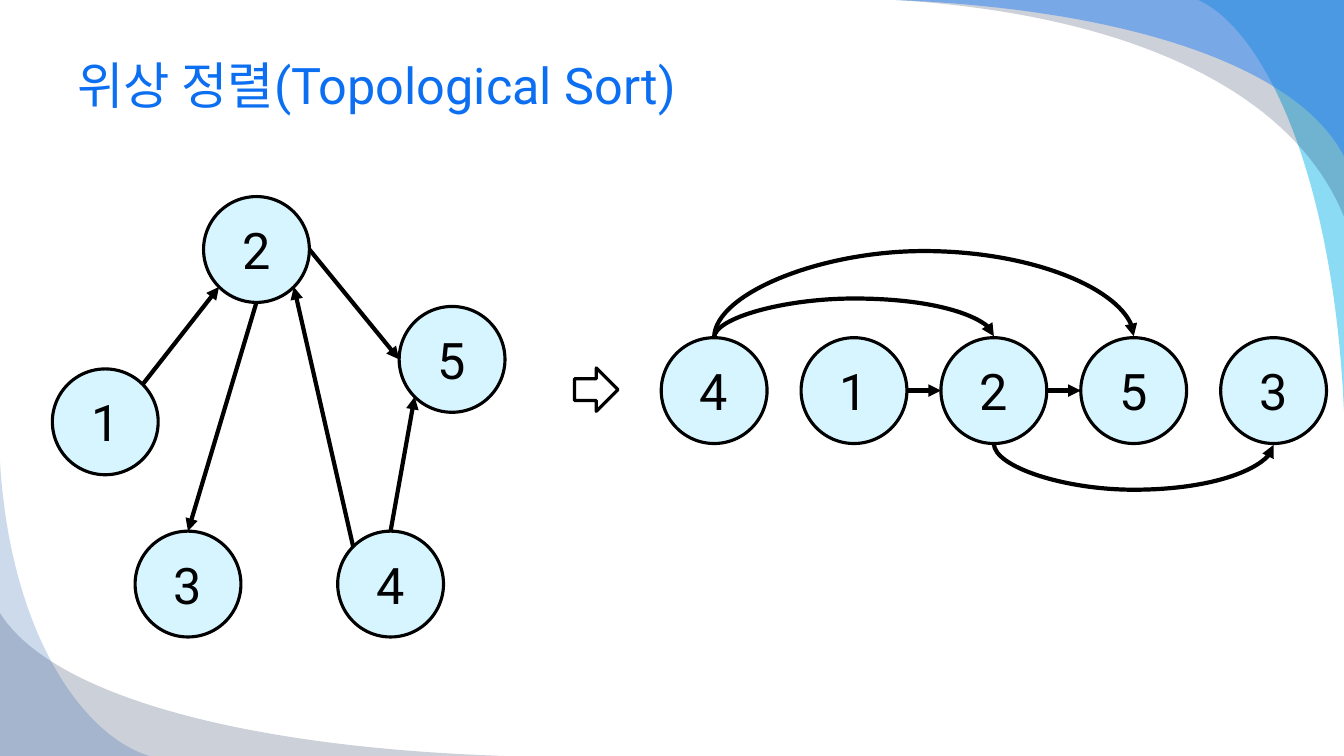
from dataclasses import dataclass
from math import cos, pi, sin

from lxml.etree import SubElement
from pptx import Presentation
from pptx.dml.color import RGBColor
from pptx.enum.shapes import MSO_CONNECTOR as Link, MSO_SHAPE as Kind
from pptx.enum.text import MSO_ANCHOR as Anchor, MSO_AUTO_SIZE as AutoSize, PP_ALIGN as Align
from pptx.oxml.ns import qn
from pptx.shapes.autoshape import Shape
from pptx.shapes.connector import Connector
from pptx.slide import Slide
from pptx.text.text import TextFrame
from pptx.util import Pt

COLORS = {"title": "0C6FF2", "node": "D7F5FF", "ink": "000000", "paper": "FFFFFF",
          "cyan": "00B1E9", "navy": "021741", "blue": "247FF4", "deep": "084AA1"}
FONT = "Roboto"
DIAMETER = 75.6
CHAIN_LEFT, CHAIN_TOP, CHAIN_PITCH = 472.3, 241.2, 99.9
Point = tuple[float, float]


@dataclass(frozen=True)
class Swoosh:
    """A corner area bounded by one cubic curve."""
    corner: Point
    curve: tuple[Point, Point, Point, Point]
    color: str
    opacity: int


@dataclass(frozen=True)
class Node:
    """A numbered circle, with eight sites counted anticlockwise from the top."""
    label: str
    left: float
    top: float

    def site(self, i: int) -> Point:
        """Return the point of site i on the rim."""
        r, angle = DIAMETER / 2, i * pi / 4
        return self.left + r - r * sin(angle), self.top + r - r * cos(angle)


@dataclass(frozen=True)
class Edge:
    """A straight arrow between sites of two nodes."""
    start: str
    start_site: int
    end: str
    end_site: int


@dataclass(frozen=True)
class Arc:
    """A curved arrow over or under the sorted chain."""
    start: str
    end: str
    bulge: float
    above: bool


SWOOSHES = [
    Swoosh((960, 0), ((856, 0), (903.6, 21.6), (952.6, 126), (960, 293.8)), "cyan", 45),
    Swoosh((960, 0), ((640, 0), (813.6, 10.8), (925.2, 68.4), (960, 154.8)), "navy", 20),
    Swoosh((960, 0), ((640, 0), (813.6, 7.2), (928.8, 50.4), (960, 111.6)), "blue", 49),
    Swoosh((0, 540), ((360, 540), (164.9, 533.5), (34.6, 493.9), (0, 437.8)), "navy", 20),
    Swoosh((0, 540), ((106.6, 540), (57.6, 524.9), (7.2, 450), (0, 329.8)), "deep", 20),
]
GRAPH = [Node("1", 37.4, 263.5), Node("2", 145.4, 140.4), Node("3", 96.5, 379.4),
         Node("4", 241.2, 379.4), Node("5", 285.1, 218.9)]
GRAPH_EDGES = [Edge("1", 7, "2", 3), Edge("4", 1, "2", 5), Edge("2", 6, "5", 2),
               Edge("2", 4, "3", 0), Edge("4", 0, "5", 3)]
CHAIN = [Node(label, CHAIN_LEFT + i * CHAIN_PITCH, CHAIN_TOP) for i, label in enumerate("41253")]
CHAIN_EDGES = [Edge("1", 6, "2", 2), Edge("2", 6, "5", 2)]
ARCS = [Arc("4", "2", 28.18, True), Arc("2", "3", 33.27, False), Arc("4", "5", 62.36, True)]


def rgb(name: str) -> RGBColor:
    """Return a named colour."""
    return RGBColor.from_string(COLORS[name])


def write(tf: TextFrame, text: str, color: str, align: Align) -> None:
    """Fill a text frame with one 36-point line."""
    tf.text = text
    tf.vertical_anchor = Anchor.MIDDLE
    p = tf.paragraphs[0]
    p.alignment = align
    font = p.runs[0].font
    font.name, font.size = FONT, Pt(36)
    font.color.rgb = rgb(color)


def paint(sp: Shape, fill: str) -> None:
    """Give a shape a flat fill and a black outline."""
    sp.shadow.inherit = False
    sp.fill.solid()
    sp.fill.fore_color.rgb = rgb(fill)
    sp.line.color.rgb = rgb("ink")
    sp.line.width = Pt(2.25)


def draw_swoosh(s: Slide, swoosh: Swoosh) -> None:
    """Draw a translucent corner area."""
    points = []
    for step in range(41):
        t = step / 40
        weights = ((1 - t) ** 3, 3 * t * (1 - t) ** 2, 3 * t * t * (1 - t), t ** 3)
        points.append(tuple(Pt(sum(w * p[axis] for w, p in zip(weights, swoosh.curve)))
                            for axis in (0, 1)))
    builder = s.shapes.build_freeform(*(Pt(v) for v in swoosh.corner))
    builder.add_line_segments(points, close=True)
    sp = builder.convert_to_shape()
    sp.shadow.inherit = False
    sp.fill.solid()
    sp.fill.fore_color.rgb = rgb(swoosh.color)
    sp.line.fill.background()
    color = sp.element.spPr.find(qn("a:solidFill"))[0]
    SubElement(color, qn("a:alpha"), val=str(swoosh.opacity * 1000))


def draw_node(s: Slide, node: Node) -> Shape:
    """Draw a numbered circle."""
    sp = s.shapes.add_shape(Kind.OVAL, Pt(node.left), Pt(node.top), Pt(DIAMETER), Pt(DIAMETER))
    paint(sp, "node")
    write(sp.text_frame, node.label, "ink", Align.CENTER)
    return sp


def add_arrow(s: Slide, kind: Link, start: Point, end: Point) -> Connector:
    """Add a black connector with an arrowhead."""
    c = s.shapes.add_connector(kind, *(Pt(v) for v in start + end))
    c.line.color.rgb = rgb("ink")
    c.line.width = Pt(3)
    SubElement(c.line._get_or_add_ln(), qn("a:tailEnd"), type="triangle")
    SubElement(c._element.spPr, qn("a:effectLst"))
    return c


def draw_graph(s: Slide, nodes: list[Node], edges: list[Edge]) -> None:
    """Draw nodes and the straight arrows glued to their sites."""
    by_label = {node.label: node for node in nodes}
    shapes = {node.label: draw_node(s, node) for node in nodes}
    for e in edges:
        c = add_arrow(s, Link.STRAIGHT, by_label[e.start].site(e.start_site),
                      by_label[e.end].site(e.end_site))
        glue = c._element.nvCxnSpPr.cNvCxnSpPr
        for tag, label, site in (("a:stCxn", e.start, e.start_site), ("a:endCxn", e.end, e.end_site)):
            SubElement(glue, qn(tag), id=str(shapes[label].shape_id), idx=str(site))


def draw_arc(s: Slide, nodes: list[Node], arc: Arc) -> None:
    """Draw a curved arrow as a turned connector one point wide."""
    by_label = {node.label: node for node in nodes}
    site, sign, turn = (0, 1, 90) if arc.above else (4, -1, 270)
    x1, y = by_label[arc.start].site(site)
    x2, _ = by_label[arc.end].site(site)
    cx, cy, reach = (x1 + x2) / 2, y - sign / 2, sign * (x2 - x1) / 2
    c = add_arrow(s, Link.CURVE, (cx + 0.5, cy + reach), (cx - 0.5, cy - reach))
    spPr = c._element.spPr
    spPr.find(qn("a:xfrm")).set("rot", str(turn * 60000))
    guides = spPr.find(qn("a:prstGeom")).find(qn("a:avLst"))
    SubElement(guides, qn("a:gd"), name="adj1", fmla=f"val {round(arc.bulge * 100000)}")


def main() -> None:
    """Build the topological sort slide."""
    prs = Presentation()
    prs.slide_width, prs.slide_height = Pt(960), Pt(540)
    s = prs.slides.add_slide(prs.slide_layouts[5])
    for swoosh in SWOOSHES:
        draw_swoosh(s, swoosh)

    title = s.shapes.title
    title.left, title.top, title.width, title.height = Pt(48), Pt(24), Pt(864), Pt(72.5)
    title.text_frame.auto_size = AutoSize.NONE
    write(title.text_frame, "위상 정렬(Topological Sort)", "title", Align.LEFT)
    title.element.getparent().append(title.element)

    draw_graph(s, GRAPH, GRAPH_EDGES)
    becomes = s.shapes.add_shape(Kind.DOWN_ARROW, Pt(410.4), Pt(262.8), Pt(31), Pt(31))
    becomes.rotation = 270
    paint(becomes, "paper")
    draw_graph(s, CHAIN, CHAIN_EDGES)
    for arc in ARCS:
        draw_arc(s, CHAIN, arc)
    prs.save("out.pptx")


if __name__ == "__main__":
    main()
